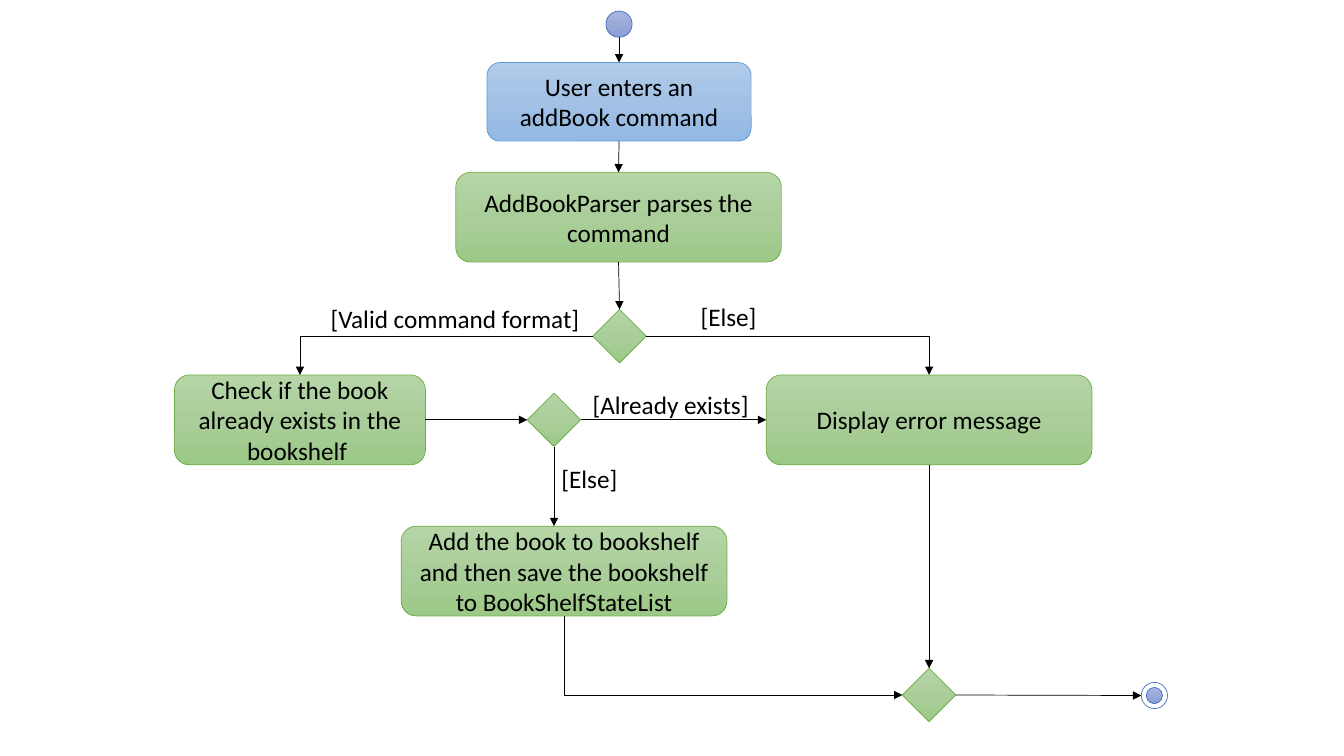
import copy

import pptx
import pptx.dml.color
import pptx.enum.dml
import pptx.enum.shapes
import pptx.enum.text
import pptx.oxml
import pptx.oxml.ns
import pptx.util

PX = 9144
THEME = {
    "font": "Calibri",
    "size": pptx.util.Pt(18),
    "line": pptx.util.Pt(0.5),
    "text": "000000",
    "start": ("4472C4", ["A8B7DF", "9AABD9", "889ED7"]),
    "user": ("5B9BD5", ["B1CBE9", "A3C1E5", "93B9E4"]),
    "system": ("70AD47", ["B5D5A7", "AACE9A", "9CC987"]),
    "ring": ("4472C4", ["FFFFFF"]),
}
TOP, LEFT, BOTTOM, RIGHT = range(4)
MSO = pptx.enum.shapes.MSO_SHAPE
LINKS = pptx.enum.shapes.MSO_CONNECTOR
rgb = pptx.dml.color.RGBColor.from_string
qn = pptx.oxml.ns.qn


def set_text(sp, text, align):
    tf = sp.text_frame
    tf.word_wrap = True
    p = tf.paragraphs[0]
    p.text = text
    p.alignment = align
    p.font.name = THEME["font"]
    p.font.size = THEME["size"]
    p.font.color.rgb = rgb(THEME["text"])


prs = pptx.Presentation()
prs.slide_width = 1333 * PX
prs.slide_height = 750 * PX
s = prs.slides.add_slide(prs.slide_layouts[6])

NODES = [
    ("start", MSO.OVAL, "start", (601, 11, 26, 26), ""),
    ("enter", MSO.ROUNDED_RECTANGLE, "user", (483, 62, 262, 78), "User enters an addBook command"),
    ("parser", MSO.ROUNDED_RECTANGLE, "system", (452, 171, 323, 89), "AddBookParser parses the command"),
    ("valid", MSO.DIAMOND, "system", (588, 307, 53, 53), ""),
    ("check", MSO.ROUNDED_RECTANGLE, "system", (173, 372, 249, 89),
     "Check if the book already exists in the bookshelf "),
    ("exists", MSO.DIAMOND, "system", (523, 390, 53, 53), ""),
    ("error", MSO.ROUNDED_RECTANGLE, "system", (760, 372, 323, 89), "Display error message"),
    ("add", MSO.ROUNDED_RECTANGLE, "system", (398, 522, 323, 89),
     "Add the book to bookshelf and then save the bookshelf to BookShelfStateList"),
    ("merge", MSO.DIAMOND, "system", (895, 663, 53, 53), ""),
    ("ring", MSO.OVAL, "ring", (1132, 677, 26, 26), ""),
    ("dot", MSO.OVAL, "start", (1137, 682, 16, 16), ""),
]
nodes = {}
for name, kind, style, box, text in NODES:
    sp = s.shapes.add_shape(kind, *(v * PX for v in box))
    sp.shadow.inherit = False
    outline, colors = THEME[style]
    sp.line.color.rgb = rgb(outline)
    sp.line.width = THEME["line"]
    if len(colors) == 1:
        sp.fill.solid()
        sp.fill.fore_color.rgb = rgb(colors[0])
    else:
        sp.fill.gradient()
        sp.fill.gradient_angle = 270
        stops = sp._element.spPr.find(".//" + qn("a:gsLst"))
        stops.insert(1, copy.deepcopy(stops[0]))
        for i, stop in enumerate(sp.fill.gradient_stops):
            stop.position = i / 2
            stop.color.rgb = rgb(colors[i])
    if text:
        set_text(sp, text, pptx.enum.text.PP_ALIGN.CENTER)
    nodes[name] = sp

ARROWS = [
    ("start", BOTTOM, "enter", TOP, "straight"),
    ("enter", BOTTOM, "parser", TOP, "straight"),
    ("parser", BOTTOM, "valid", TOP, "straight"),
    ("valid", LEFT, "check", TOP, "across_down"),
    ("valid", RIGHT, "error", TOP, "across_down"),
    ("check", RIGHT, "exists", LEFT, "straight"),
    ("exists", RIGHT, "error", LEFT, "straight"),
    ("exists", BOTTOM, "add", TOP, "drop"),
    ("add", BOTTOM, "merge", LEFT, "down_across"),
    ("error", BOTTOM, "merge", TOP, "straight"),
    ("merge", RIGHT, "ring", LEFT, "straight"),
]
for src, src_site, dst, dst_site, route in ARROWS:
    bent = route in ("across_down", "down_across")
    c = s.shapes.add_connector(LINKS.ELBOW if bent else LINKS.STRAIGHT, 0, 0, 0, 0)
    c.begin_connect(nodes[src], src_site)
    if route == "drop":
        c.end_x, c.end_y = c.begin_x, nodes[dst].top
    else:
        c.end_connect(nodes[dst], dst_site)
    spPr = c._element.spPr
    for tag, name, site in (("a:stCxn", src, src_site), ("a:endCxn", dst, dst_site)):
        if nodes[name].auto_shape_type == MSO.OVAL:
            c._element.find(".//" + qn(tag)).set("idx", str(site * 2))
    if bent:
        spPr.find(qn("a:prstGeom")).set("prst", "bentConnector2")
    if route == "down_across":
        w, h = c.width, c.height
        c.left, c.top = c.left + (w - h) // 2, c.top + (h - w) // 2
        c.width, c.height = h, w
        xfrm = spPr.find(qn("a:xfrm"))
        xfrm.set("rot", "16200000")
        xfrm.set("flipH", "1")
    c.line.color.rgb = rgb(THEME["text"])
    c.line.width = THEME["line"]
    tail = pptx.oxml.parse_xml('<a:tailEnd %s type="triangle"/>' % pptx.oxml.ns.nsdecls("a"))
    spPr.find(qn("a:ln")).append(tail)
    spPr.append(pptx.oxml.parse_xml("<a:effectLst %s/>" % pptx.oxml.ns.nsdecls("a")))

s.shapes.add_group_shape([nodes["ring"], nodes["dot"]])

LABELS = [
    ("[Else]", 685, 294, 93),
    ("[Valid command format]", 318, 296, 291),
    ("[Already exists]", 578, 381, 175),
    ("[Else]", 547, 455, 93),
]
for text, x, y, w in LABELS:
    sp = s.shapes.add_textbox(x * PX, y * PX, w * PX, 40 * PX)
    set_text(sp, text, pptx.enum.text.PP_ALIGN.LEFT)

prs.save("out.pptx")
